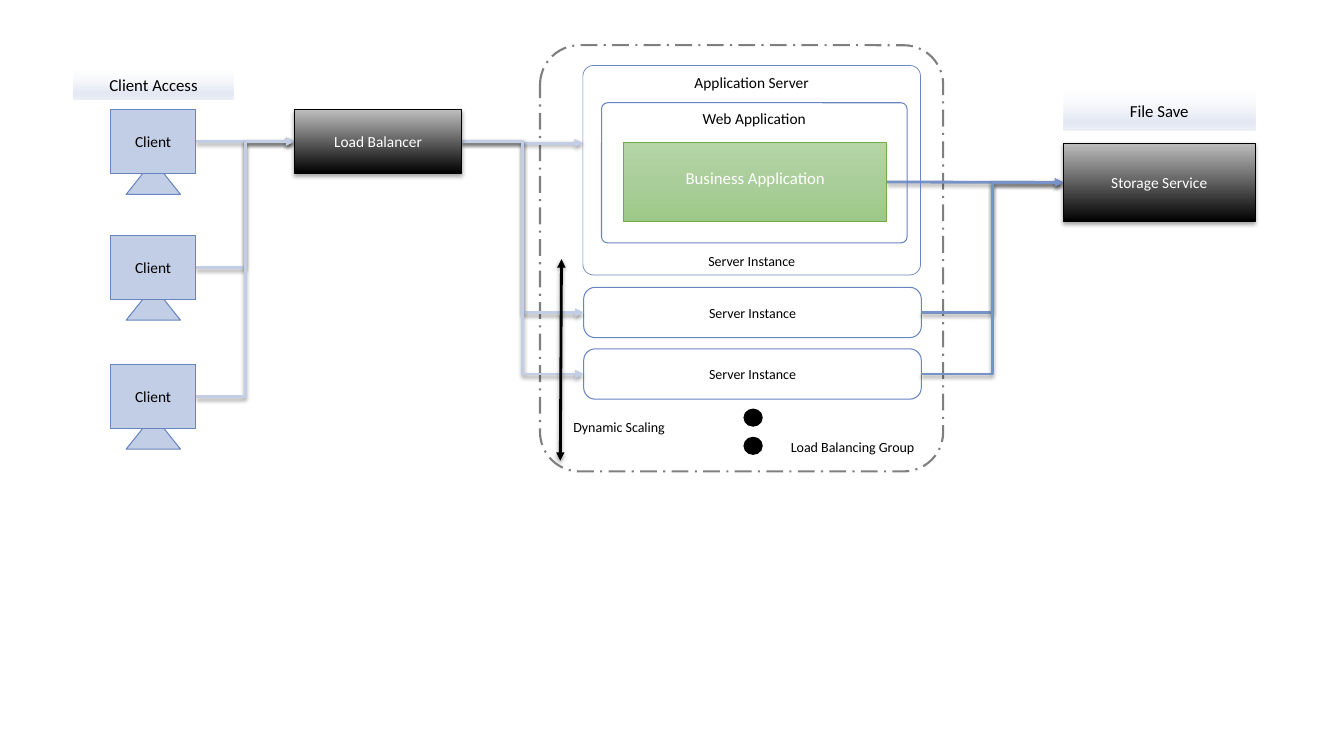
import pptx
import pptx.dml.color
import pptx.enum.dml
import pptx.enum.shapes
import pptx.enum.text
import pptx.oxml
import pptx.oxml.ns
import pptx.util
from pptx.util import Cm

RGBColor = pptx.dml.color.RGBColor
SHAPE = pptx.enum.shapes.MSO_SHAPE
CONNECTOR = pptx.enum.shapes.MSO_CONNECTOR
ANCHOR = pptx.enum.text.MSO_ANCHOR
ALIGN = pptx.enum.text.PP_ALIGN

BLACK = RGBColor(0x00, 0x00, 0x00)
WHITE = RGBColor(0xFF, 0xFF, 0xFF)
GREY = RGBColor(0xBD, 0xBD, 0xBD)
OUTLINE = RGBColor(0x67, 0x85, 0xC1)
CLIENT_BLUE = RGBColor(0xC2, 0xCE, 0xE6)
STORAGE_BLUE = RGBColor(0x77, 0x92, 0xC7)
GREEN_LINE = RGBColor(0x70, 0xAD, 0x47)
FONT = "Calibri"

# Gradients: (position %, colour, opacity %), then clockwise angle
HEADER_GRADIENT = ([(0, RGBColor(0xFC, 0xFD, 0xFE), 25), (74, RGBColor(0xE4, 0xE9, 0xF4), 100),
                    (83, RGBColor(0xE4, 0xE9, 0xF4), 100), (100, RGBColor(0xED, 0xF0, 0xF7), 100)], 90)
DARK_GRADIENT = ([(0, BLACK, 100), (100, GREY, 100)], 270)
GREEN_GRADIENT = ([(0, RGBColor(0xB5, 0xD5, 0xA7), 100), (50, RGBColor(0xAA, 0xCE, 0x9A), 100),
                   (100, RGBColor(0x9C, 0xC9, 0x87), 100)], 90)

# Content, lengths in centimetres: (text, left, top, width, height)
HEADERS = [("Client Access", 1.85, 1.78, 4.04, 0.74), ("File Save", 26.8, 2.31, 4.83, 0.97)]
LOAD_BALANCER = ("Load Balancer", 7.42, 2.77, 4.22, 1.6)
STORAGE = ("Storage Service", 26.8, 3.61, 4.83, 1.98)
GROUP = ("", 13.61, 1.14, 10.16, 10.74)
APPLICATION_SERVER = ("Application Server", 14.69, 1.65, 8.51, 5.28)
WEB_APPLICATION = ("Web Application", 15.16, 2.59, 7.7, 3.53)
BUSINESS_APPLICATION = ("Business Application", 15.72, 3.58, 6.63, 2.01)
INSTANCES = [("Server Instance", 14.71, top, 8.51, 1.27) for top in (7.24, 8.79)]
CLIENTS = [("Client", 2.78, top, 2.16, 1.6) for top in (2.77, 5.94, 9.19)]
LABELS = [
    ("Load Balancing Group", 19.18, 10.92, 4.11, 0.69, ALIGN.RIGHT),
    ("Server Instance", 14.73, 6.25, 8.43, 0.69, ALIGN.CENTER),
    ("Dynamic Scaling", 14.2, 10.41, 3.66, 0.69, ALIGN.LEFT),
]
DOT_TOPS = (10.31, 11.02)

presentation = pptx.Presentation()
presentation.slide_width = Cm(33.87)
presentation.slide_height = Cm(19.05)
slide = presentation.slides.add_slide(presentation.slide_layouts[6])


def element(xml):
    return pptx.oxml.parse_xml(xml.replace(">", " " + pptx.oxml.ns.nsdecls("a") + ">", 1))


def effect_list(opacity):
    return element(
        f'<a:effectLst><a:outerShdw blurRad="{pptx.util.Pt(3.1)}" dist="{pptx.util.Pt(1.6)}" '
        f'dir="5400000" rotWithShape="0"><a:srgbClr val="{BLACK}"><a:alpha val="{opacity * 1000}"/>'
        '</a:srgbClr></a:outerShdw></a:effectLst>')


def set_gradient(shape, gradient):
    stops, angle = gradient
    shape.fill.gradient()
    stop_xml = "".join(
        f'<a:gs pos="{position * 1000}"><a:srgbClr val="{color}">'
        f'<a:alpha val="{opacity * 1000}"/></a:srgbClr></a:gs>' for position, color, opacity in stops)
    properties = shape.element.spPr
    properties.replace(properties.find(pptx.oxml.ns.qn("a:gradFill")), element(
        f'<a:gradFill><a:gsLst>{stop_xml}</a:gsLst><a:lin ang="{angle * 60000}" scaled="0"/></a:gradFill>'))


def write(shape, text, size, color=BLACK, anchor=ANCHOR.MIDDLE, align=ALIGN.CENTER):
    frame = shape.text_frame
    frame.word_wrap = True
    frame.vertical_anchor = anchor
    paragraph = frame.paragraphs[0]
    paragraph.text = text
    paragraph.alignment = align
    paragraph.font.name = FONT
    paragraph.font.size = pptx.util.Pt(size)
    paragraph.font.color.rgb = color


def add_box(box, kind=SHAPE.RECTANGLE, fill=None, line=OUTLINE, width=0.75, corner=None,
            size=11, **text_format):
    text, *place = box
    shape = slide.shapes.add_shape(kind, *map(Cm, place))
    shape.shadow.inherit = False
    if corner:
        shape.adjustments[0] = corner
    if fill is None:
        shape.fill.background()
    elif isinstance(fill, tuple) and not isinstance(fill, RGBColor):
        set_gradient(shape, fill)
    else:
        shape.fill.solid()
        shape.fill.fore_color.rgb = fill
    if line is None:
        shape.line.fill.background()
    else:
        shape.line.color.rgb = line
        shape.line.width = pptx.util.Pt(width)
    if text:
        write(shape, text, size, **text_format)
    return shape


def add_arrow(start, end, color, kind=CONNECTOR.ELBOW, ends=("tailEnd",)):
    arrow = slide.shapes.add_connector(kind, *map(Cm, (*start, *end)))
    arrow.line.color.rgb = color
    arrow.line.width = pptx.util.Pt(2)
    for end_name in ends:
        arrow.line._get_or_add_ln().append(element(f'<a:{end_name} type="triangle"></a:{end_name}>'))
    arrow.element.spPr.append(effect_list(38))


def left_middle(box):
    return box[1], box[2] + box[4] / 2


def right_middle(box):
    return box[1] + box[3], box[2] + box[4] / 2


# Load balancing group and its server instances
group = add_box(GROUP, SHAPE.ROUNDED_RECTANGLE, line=BLACK, width=1.5, corner=0.098)
group.line.dash_style = pptx.enum.dml.MSO_LINE.LONG_DASH_DOT
group.element.spPr.find(".//" + pptx.oxml.ns.qn("a:srgbClr")).append(element('<a:alpha val="50000"></a:alpha>'))
for instance in INSTANCES:
    add_box(instance, SHAPE.ROUNDED_RECTANGLE, fill=WHITE, corner=0.231, size=10)
for top in DOT_TOPS:
    add_box(("", 18.75, top, 0.46, 0.43), SHAPE.OVAL, fill=BLACK, line=BLACK)

# Arrows from the load balancer and to the storage service
add_arrow(right_middle(LOAD_BALANCER), (APPLICATION_SERVER[1], 3.61), CLIENT_BLUE)
for instance in INSTANCES:
    add_arrow(right_middle(LOAD_BALANCER), left_middle(instance), CLIENT_BLUE)
add_arrow(right_middle(BUSINESS_APPLICATION), left_middle(STORAGE), STORAGE_BLUE, CONNECTOR.STRAIGHT)
for instance in INSTANCES:
    add_arrow(right_middle(instance), left_middle(STORAGE), STORAGE_BLUE)

# Clients: arrow, stand, screen
for client in CLIENTS:
    level = client is CLIENTS[0]
    add_arrow(right_middle(client), left_middle(LOAD_BALANCER), CLIENT_BLUE,
              CONNECTOR.STRAIGHT if level else CONNECTOR.ELBOW)
for client in CLIENTS:
    stand = ("", client[1] + 0.4, client[2] + 1.27, 1.37, 0.86)
    add_box(stand, SHAPE.ISOSCELES_TRIANGLE, fill=CLIENT_BLUE)
    add_box(client, fill=CLIENT_BLUE)

# Column headers
for header in HEADERS:
    add_box(header, fill=HEADER_GRADIENT, line=None, size=12)

# Nested application layers
add_box(WEB_APPLICATION, SHAPE.ROUNDED_RECTANGLE, corner=0.043, anchor=ANCHOR.TOP)
add_box(APPLICATION_SERVER, SHAPE.ROUNDED_RECTANGLE, width=0.5, corner=0.051, anchor=ANCHOR.TOP)
business = add_box(BUSINESS_APPLICATION, fill=GREEN_GRADIENT, line=GREEN_LINE, width=0.5,
                   size=12, color=WHITE, anchor=ANCHOR.TOP)
business.text_frame.margin_top = Cm(0.64)

# Dark service boxes
for service in (LOAD_BALANCER, STORAGE):
    shape = add_box(service, fill=DARK_GRADIENT, line=BLACK, color=WHITE)
    properties = shape.element.spPr
    properties.replace(properties.find(pptx.oxml.ns.qn("a:effectLst")), effect_list(35))

# Scaling arrow and labels
add_arrow((14.12, 11.61), (14.15, 6.53), BLACK, CONNECTOR.STRAIGHT, ("headEnd", "tailEnd"))
for text, left, top, width, height, align in LABELS:
    label = slide.shapes.add_textbox(Cm(left), Cm(top), Cm(width), Cm(height))
    write(label, text, 10, anchor=ANCHOR.TOP, align=align)

presentation.save("out.pptx")
